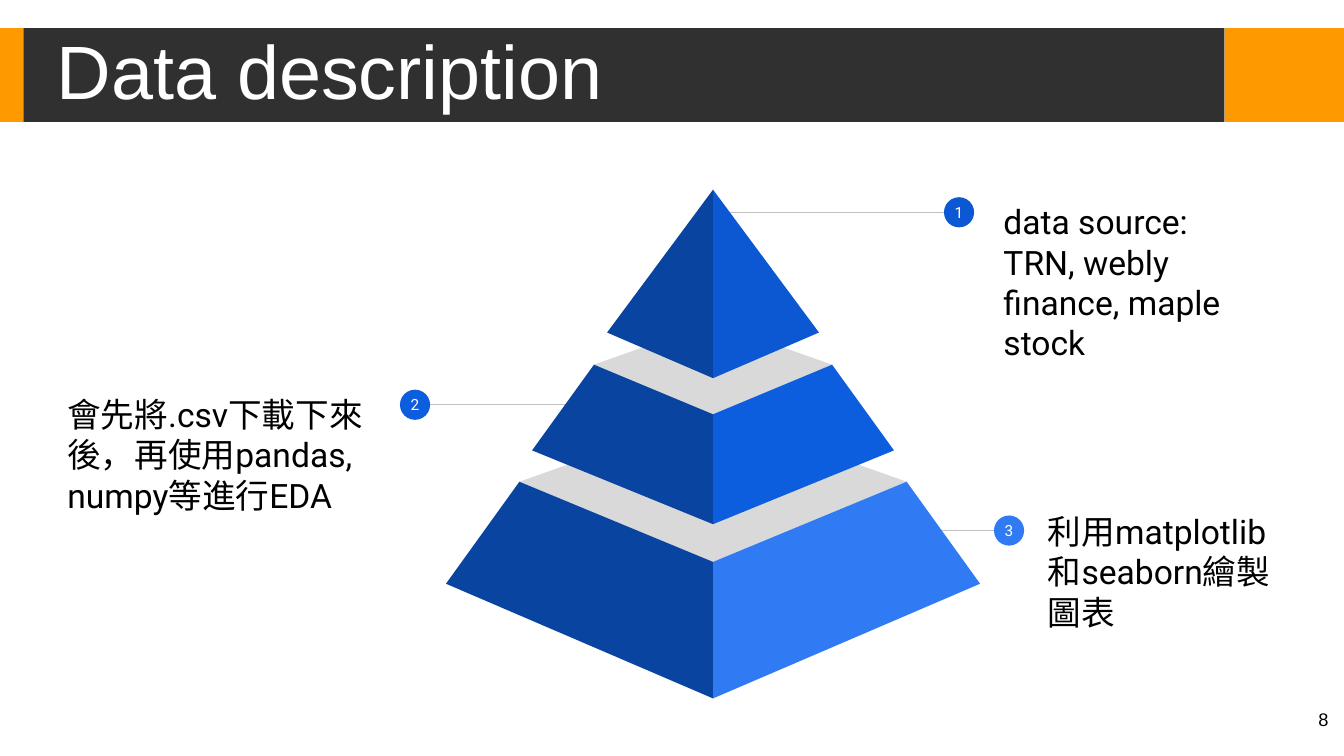
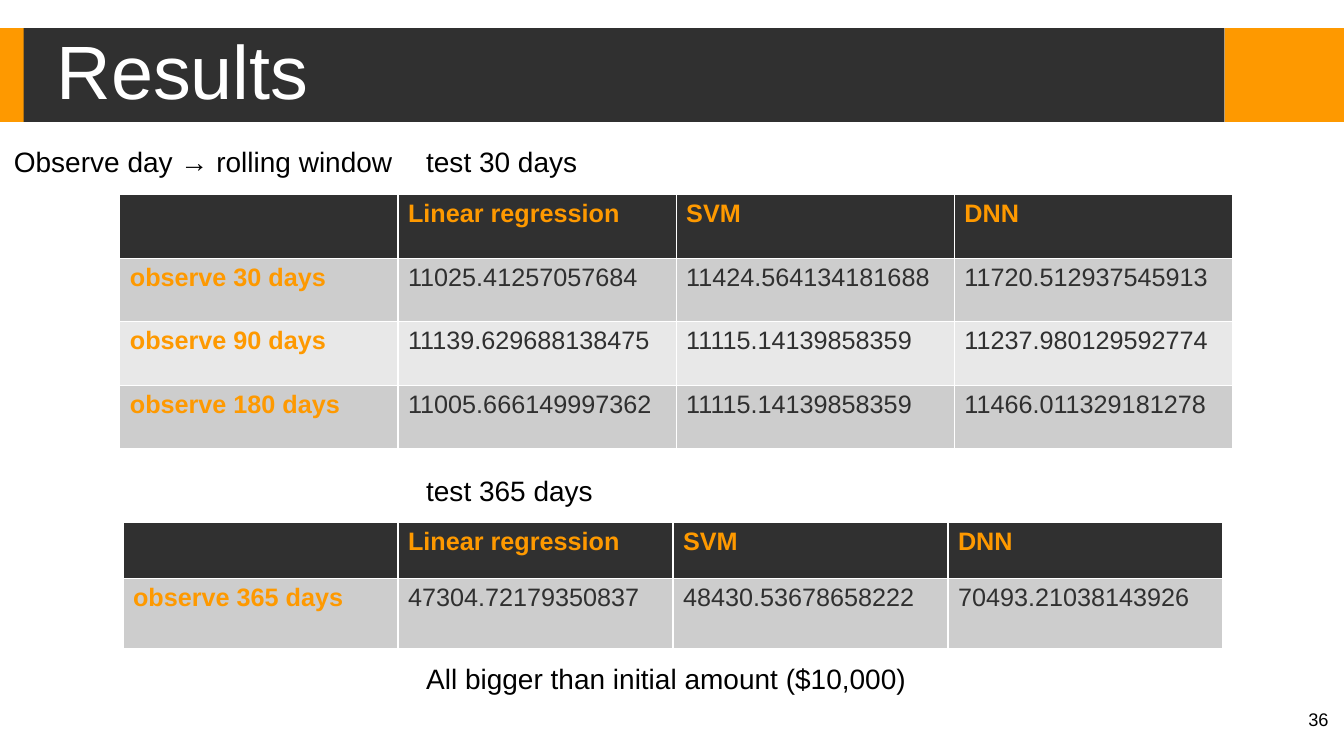
"""Build two slides: a data description pyramid and the result tables."""
import lxml.etree
import pptx
import pptx.dml.color
import pptx.enum.shapes
import pptx.enum.text
import pptx.oxml.ns
import pptx.util

Cm = pptx.util.Cm
Pt = pptx.util.Pt
RGB = pptx.dml.color.RGBColor.from_string
ALIGN = pptx.enum.text.PP_ALIGN
MIDDLE = pptx.enum.text.MSO_ANCHOR.MIDDLE
SHAPE = pptx.enum.shapes.MSO_SHAPE

COLORS = {
    "orange": "FE9900", "charcoal": "303030", "white": "FFFFFF", "black": "000000",
    "line": "C2C2C2", "ledge": "D9D9D9", "shade": "0944A1",
    "top": "0C58D3", "middle": "0D5DDF", "base": "307BF3",
    "band_dark": "CDCDCD", "band_light": "E8E8E8",
}


def paint(shape, color):
    """Give a shape a flat fill without outline or shadow."""
    shape.shadow.inherit = False
    shape.fill.solid()
    shape.fill.fore_color.rgb = RGB(COLORS[color])
    shape.line.fill.background()


def write(frame, text, size, font="Arial", color="black", align=ALIGN.LEFT, bold=False):
    """Write one formatted paragraph into a text frame."""
    para = frame.paragraphs[0]
    para.text = text
    para.alignment = align
    para.font.size = Pt(size)
    para.font.name = font
    para.font.bold = bold
    para.font.color.rgb = RGB(COLORS[color])
    frame.word_wrap = True


deck = pptx.Presentation()
deck.slide_width = Cm(33.87)
deck.slide_height = Cm(19.05)

layout = deck.slide_layouts[5]
for holder in list(layout.placeholders)[1:]:
    layout.shapes.element.remove(holder.element)
title_holder = layout.placeholders[0]
title_holder.left, title_holder.top = Cm(1.17), Cm(0.89)
title_holder.width, title_holder.height = Cm(24.64), Cm(2.01)

pages = []
for title, number in [("Data description", "8"), ("Results", "36")]:
    page = deck.slides.add_slide(layout)
    frame = page.shapes.title.text_frame
    write(frame, title, 54, color="white")
    frame.paragraphs[0].line_spacing = 0.9
    frame.vertical_anchor = MIDDLE
    pages.append((page, number))
pyramid_page, results_page = pages[0][0], pages[1][0]

bands = []
for left, width, color in [(30.86, 3.01, "orange"), (0, 30.86, "charcoal"), (0, 0.6, "orange")]:
    band = pyramid_page.shapes.add_shape(SHAPE.RECTANGLE, Cm(left), Cm(0.71), Cm(width), Cm(2.36))
    paint(band, color)
    bands.append(band)
for band in bands:
    layout.shapes.element.append(band.element)

DIAMETER = 0.76
CALLOUTS = [
    ("1", "top", 24.17, 5.35, 18.19),
    ("2", "middle", 10.46, 10.2, 14.33),
    ("3", "base", 25.43, 13.37, 23.57),
]
for number, color, center_x, center_y, line_end in CALLOUTS:
    leader = pyramid_page.shapes.add_connector(
        pptx.enum.shapes.MSO_CONNECTOR.STRAIGHT,
        Cm(line_end), Cm(center_y), Cm(center_x), Cm(center_y))
    leader.line.color.rgb = RGB(COLORS["line"])
    leader.line.width = Pt(0.75)
    lxml.etree.SubElement(leader.element.spPr, pptx.oxml.ns.qn("a:effectLst"))
    badge = pyramid_page.shapes.add_shape(
        SHAPE.OVAL, Cm(center_x - DIAMETER / 2), Cm(center_y - DIAMETER / 2),
        Cm(DIAMETER), Cm(DIAMETER))
    paint(badge, color)
    frame = badge.text_frame
    frame.margin_left = frame.margin_right = frame.margin_top = frame.margin_bottom = 0
    frame.vertical_anchor = MIDDLE
    write(frame, number, 11, "Roboto", "white", ALIGN.CENTER)

AXIS = 17.97
LAYERS = [
    ("base", 10.41, 4.88, 12.14, 14.16, 6.73, 14.71, 17.6),
    ("middle", 8.13, 3.0, 9.19, 10.44, 4.56, 11.35, 13.21),
    ("top", None, 0, 4.78, 4.78, 2.67, 8.38, 9.53),
]
for color, back, top_half, top_side, top_front, low_half, low_side, low_front in LAYERS:
    faces = []
    if back:
        faces.append(("ledge", [(-top_half, top_side), (0, top_front),
                                (top_half, top_side), (0, back)]))
    for side, face_color in [(-1, "shade"), (1, color)]:
        faces.append((face_color, [(side * top_half, top_side), (side * low_half, low_side),
                                   (0, low_front), (0, top_front)]))
    for face_color, offsets in faces:
        points = [(Cm(AXIS + x), Cm(y)) for x, y in offsets]
        outline = pyramid_page.shapes.build_freeform(*points[0])
        outline.add_line_segments(points[1:], close=True)
        paint(outline.convert_to_shape(), face_color)

TEXTS = [
    (pyramid_page, 25.04, 4.95, 6.25, 5.38, "data source: TRN, webly finance, maple stock", 24, "Roboto"),
    (pyramid_page, 1.45, 9.8, 8.13, 4.37, "會先將.csv下載下來後，再使用pandas, numpy等進行EDA", 24, "Roboto"),
    (pyramid_page, 26.16, 12.75, 6.25, 4.37, "利用matplotlib和seaborn繪製圖表", 24, "Roboto"),
    (results_page, 0.1, 3.52, 15.8, 1.12, "Observe day → rolling window", 20, "Arial"),
    (results_page, 10.49, 3.52, 15.8, 1.12, "test 30 days", 20, "Arial"),
    (results_page, 10.49, 11.81, 15.8, 1.12, "test 365 days", 20, "Arial"),
    (results_page, 10.49, 16.54, 15.8, 1.12, "All bigger than initial amount ($10,000)", 20, "Arial"),
]
for page, left, top, width, height, text, size, font in TEXTS:
    box = page.shapes.add_textbox(Cm(left), Cm(top), Cm(width), Cm(height))
    write(box.text_frame, text, size, font)

for page, number in pages:
    box = page.shapes.add_textbox(Cm(31.7), Cm(17.6), Cm(2.03), Cm(1.45))
    box.text_frame.margin_top = box.text_frame.margin_bottom = Cm(0.25)
    write(box.text_frame, number, 13, align=ALIGN.RIGHT)

HEADER = ["", "Linear regression", "SVM", "DNN"]
TABLES = [
    (3.02, 4.91, 7.01, [1.6, 1.6, 1.6, 1.6], [
        HEADER,
        ["observe 30 days", "11025.41257057684", "11424.564134181688", "11720.512937545913"],
        ["observe 90 days", "11139.629688138475", "11115.14139858359", "11237.980129592774"],
        ["observe 180 days", "11005.666149997362", "11115.14139858359", "11466.011329181278"],
    ]),
    (3.1, 13.17, 6.93, [1.4, 1.77], [
        HEADER,
        ["observe 365 days", "47304.72179350837", "48430.53678658222", "70493.21038143926"],
    ]),
]
for left, top, column_width, heights, rows in TABLES:
    table = results_page.shapes.add_table(
        len(rows), len(HEADER), Cm(left), Cm(top),
        Cm(column_width * len(HEADER)), Cm(sum(heights))).table
    for column in table.columns:
        column.width = Cm(column_width)
    for row_index, values in enumerate(rows):
        table.rows[row_index].height = Cm(heights[row_index])
        if row_index == 0:
            fill = "charcoal"
        else:
            fill = "band_dark" if row_index % 2 else "band_light"
        for column_index, value in enumerate(values):
            cell = table.cell(row_index, column_index)
            cell.fill.solid()
            cell.fill.fore_color.rgb = RGB(COLORS[fill])
            heading = row_index == 0 or column_index == 0
            write(cell.text_frame, value, 18,
                  color="orange" if heading else "charcoal", bold=heading)

deck.save("out.pptx")
